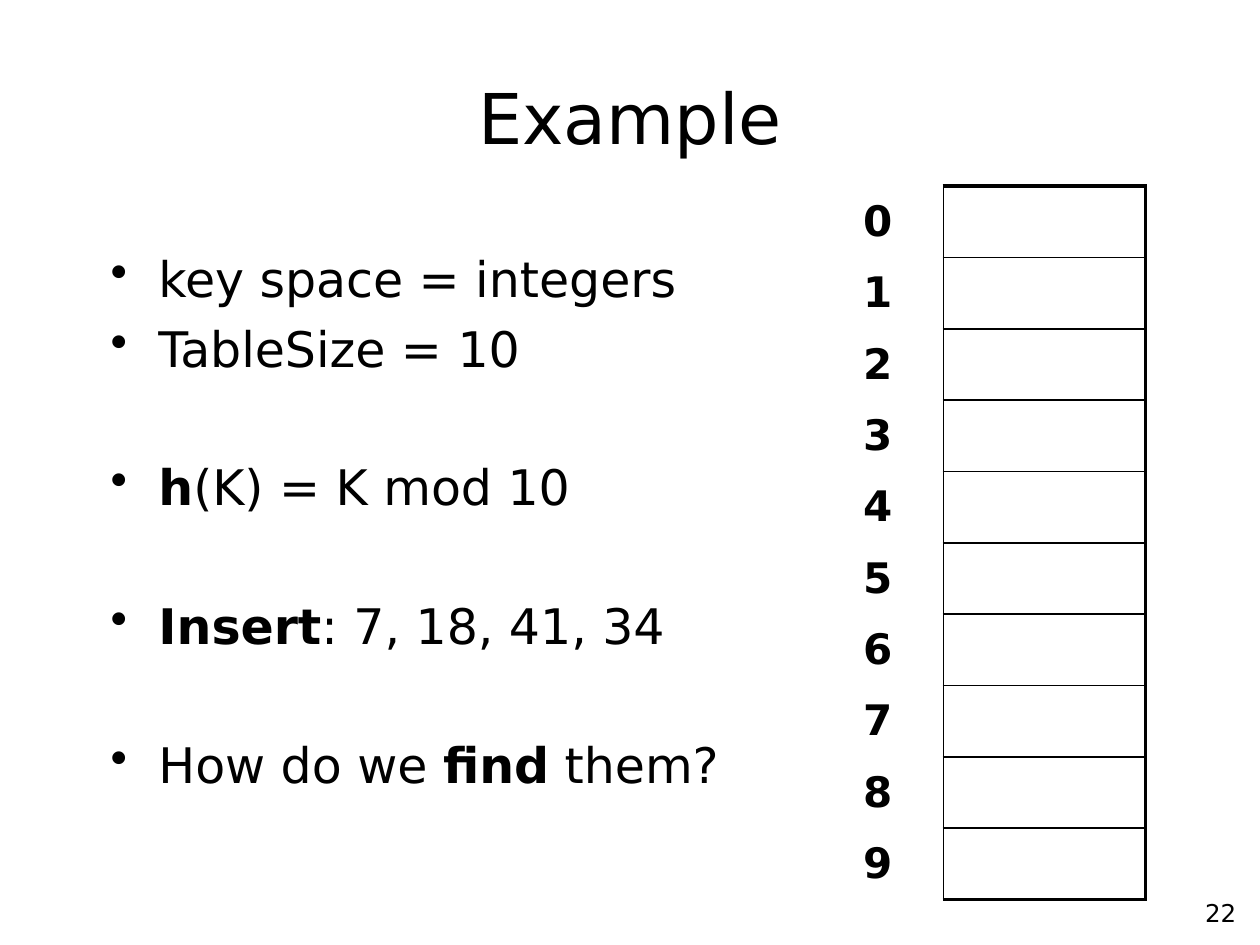
from lxml.etree import SubElement
from pptx import Presentation
from pptx.dml.color import RGBColor
from pptx.enum.text import MSO_ANCHOR, PP_ALIGN
from pptx.oxml.ns import qn
from pptx.util import Inches, Pt

WIDTH, HEIGHT = Inches(10), Inches(7.5)
BLACK = RGBColor(0, 0, 0)
FONT = "DejaVu Sans"
NO_STYLE = "{2D5ABB26-0587-4C30-8999-92F81FD0307C}"
TABLE_SIZE = 10
THIN, THICK = 1, 2.25
LINE_GAP, GROUP_GAP = 6.4, 45.6

# Space before in points, then runs as (text, bold)
BULLETS = [
    (0, [("key space = integers", False)]),
    (LINE_GAP, [("TableSize = 10", False)]),
    (GROUP_GAP, [("h", True), ("(K) = K mod 10", False)]),
    (GROUP_GAP, [("Insert", True), (": 7, 18, 41, 34", False)]),
    (GROUP_GAP, [("How do we ", False), ("find", True), (" them?", False)]),
]


def share(left, top, width, height):
    """Turn shares of the slide's size into lengths."""
    return (int(WIDTH * left), int(HEIGHT * top),
            int(WIDTH * width), int(HEIGHT * height))


def set_attrs(obj, **values):
    for name, value in values.items():
        setattr(obj, name, value)


def add_run(p, text, size, bold=False):
    r = p.add_run()
    r.text = text
    set_attrs(r.font, name=FONT, size=Pt(size), bold=bold)
    r.font.color.rgb = BLACK


def add_box(s, box, anchor=MSO_ANCHOR.TOP):
    tf = s.shapes.add_textbox(*share(*box)).text_frame
    set_attrs(tf, word_wrap=True, vertical_anchor=anchor)
    return tf


def add_line(s, box, text, size, align, anchor=MSO_ANCHOR.TOP):
    p = add_box(s, box, anchor).paragraphs[0]
    p.alignment = align
    add_run(p, text, size)


def add_bullets(s, box, items, size):
    tf = add_box(s, box)
    for i, (gap, runs) in enumerate(items):
        p = tf.add_paragraph() if i else tf.paragraphs[0]
        set_attrs(p, alignment=PP_ALIGN.JUSTIFY, space_before=Pt(gap))
        pPr = p._p.get_or_add_pPr()
        pPr.set("marL", str(Inches(0.38)))
        pPr.set("indent", str(-Inches(0.38)))
        SubElement(pPr, qn("a:buChar"), char="•")
        for text, bold in runs:
            add_run(p, text, size, bold)


def set_borders(cell, **widths):
    """Draw black borders; keys are L, R, T and B, widths in points."""
    tcPr = cell._tc.get_or_add_tcPr()
    for i, side in enumerate(side for side in "LRTB" if side in widths):
        ln = SubElement(tcPr, qn(f"a:ln{side}"), w=str(Pt(widths[side])))
        fill = SubElement(ln, qn("a:solidFill"))
        SubElement(fill, qn("a:srgbClr"), val=str(BLACK))
        tcPr.insert(i, ln)


def add_hash_table(s, box, rows, index_share, size):
    left, top, width, height = share(*box)
    table = s.shapes.add_table(rows, 2, left, top, width, height).table
    set_attrs(table, first_row=False, horz_banding=False)
    table._tbl.tblPr.find(qn("a:tableStyleId")).text = NO_STYLE
    table.columns[0].width = int(width * index_share)
    table.columns[1].width = width - table.columns[0].width
    for i, row in enumerate(table.rows):
        row.height = height // rows
        index, slot = row.cells
        for cell in (index, slot):
            cell.fill.background()
            cell.vertical_anchor = MSO_ANCHOR.MIDDLE
        p = index.text_frame.paragraphs[0]
        p.alignment = PP_ALIGN.JUSTIFY
        add_run(p, str(i), size, bold=True)
        set_borders(index, R=THIN)
        set_borders(slot, L=THIN, R=THICK,
                    T=THICK if i == 0 else THIN,
                    B=THICK if i == rows - 1 else THIN)


def main():
    prs = Presentation()
    set_attrs(prs, slide_width=WIDTH, slide_height=HEIGHT)
    s = prs.slides.add_slide(prs.slide_layouts[6])
    add_line(s, (0.783, 0.944, 0.208, 0.05), "22", 14, PP_ALIGN.RIGHT)
    add_line(s, (0.05, 0.04, 0.9, 0.167), "Example", 40, PP_ALIGN.CENTER,
             MSO_ANCHOR.MIDDLE)
    add_bullets(s, (0.078, 0.256, 0.85, 0.141), BULLETS, 28)
    add_hash_table(s, (0.675, 0.197, 0.234, 0.755), TABLE_SIZE, 0.315, 24)
    prs.save("out.pptx")


if __name__ == "__main__":
    main()
